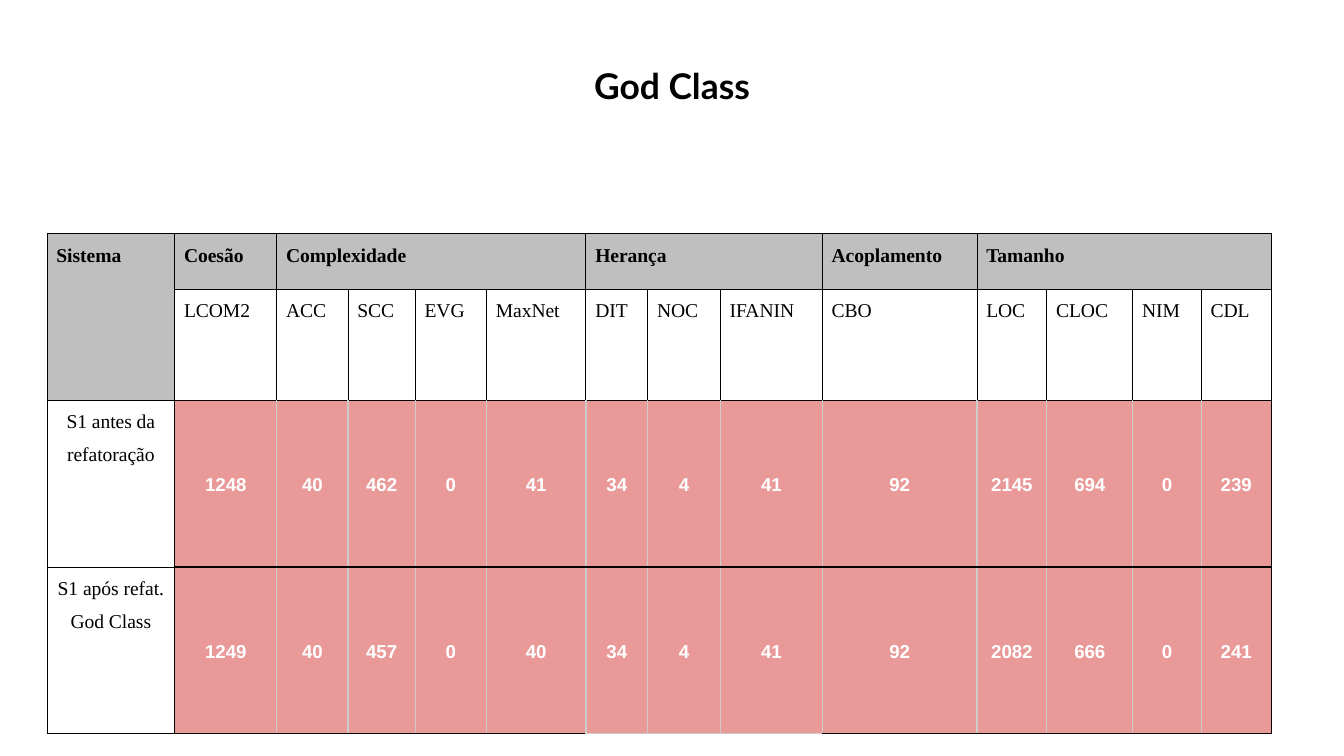
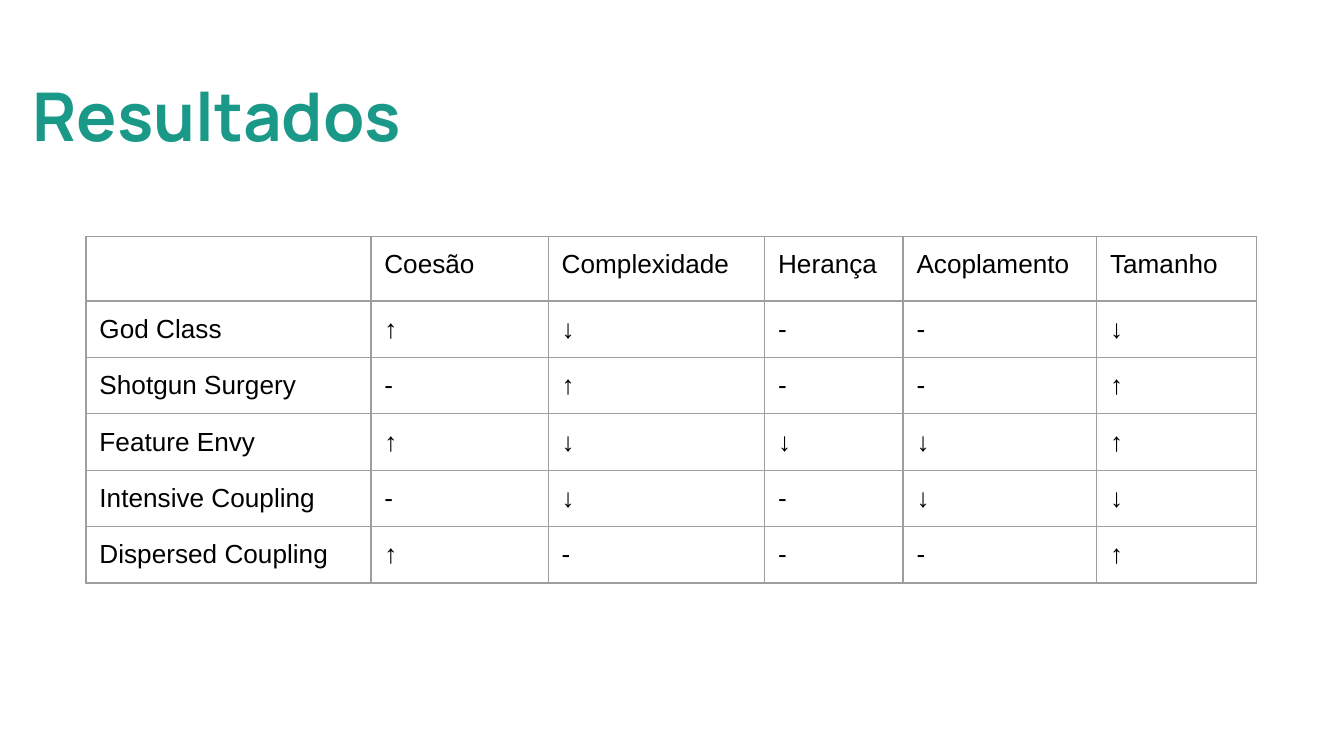
from dataclasses import dataclass

from lxml import etree
from pptx import Presentation
from pptx.dml.color import RGBColor
from pptx.enum.text import MSO_ANCHOR as Anchor, MSO_AUTO_SIZE as AutoSize, PP_ALIGN as Align
from pptx.oxml.ns import qn
from pptx.util import Inches, Pt

# Content: metrics of each system before and after refactoring
METRIC_GROUPS = [
    ("Coesão", ["LCOM2"]),
    ("Complexidade", ["ACC", "SCC", "EVG", "MaxNet"]),
    ("Herança", ["DIT", "NOC", "IFANIN"]),
    ("Acoplamento", ["CBO"]),
    ("Tamanho", ["LOC", "CLOC", "NIM", "CDL"]),
]
MEASUREMENTS = [
    ("S1 antes da refatoração", [1248, 40, 462, 0, 41, 34, 4, 41, 92, 2145, 694, 0, 239]),
    ("S1 após refat. God Class", [1249, 40, 457, 0, 40, 34, 4, 41, 92, 2082, 666, 0, 241]),
]
METRIC_COLUMNS = [0.95, 0.76, 0.53, 0.5, 0.53, 0.74, 0.46, 0.54, 0.76, 1.15, 0.52, 0.64, 0.51, 0.52]
METRIC_ROWS = [0.41, 0.83, 1.24, 1.24]

# Content: effect of each refactoring on each quality attribute
EFFECTS = [
    ("God Class", "↑↓--↓"),
    ("Shotgun Surgery", "-↑--↑"),
    ("Feature Envy", "↑↓↓↓↑"),
    ("Intensive Coupling", "-↓-↓↓"),
    ("Dispersed Coupling", "↑---↑"),
]
EFFECT_COLUMNS = [2.12, 1.32, 1.61, 1.03, 1.44, 1.19]
EFFECT_ROWS = [0.48] + [0.42] * len(EFFECTS)


@dataclass(frozen=True)
class TextStyle:
    font: str
    size: float
    color: str
    bold: bool = False
    align: Align = Align.LEFT
    spacing: float = 1.0
    after: float = 0


@dataclass(frozen=True)
class CellStyle:
    text: TextStyle
    margins: tuple
    fill: str = ""
    anchor: Anchor = Anchor.TOP


class Theme:
    black, line_gray, grid_gray = "000000", "CCCCCC", "9E9E9E"
    thin, regular = 0.5, 0.75
    class_title = TextStyle("Lato", 19, black, True, Align.CENTER)
    result_title = TextStyle("Manrope", 36, "1A9988", True, after=16)
    side_margins = (0.07, 0, 0.07, 0)
    group = CellStyle(TextStyle("Times New Roman", 10.5, black, True, Align.JUSTIFY, 1.5),
                      side_margins, "BFBFBF")
    metric = CellStyle(TextStyle("Times New Roman", 10.5, black, False, Align.JUSTIFY, 1.5),
                       side_margins)
    system = CellStyle(TextStyle("Times New Roman", 10.5, black, False, Align.CENTER, 1.5),
                       side_margins)
    value = CellStyle(TextStyle("Arial", 10, "FFFFFF", True, Align.CENTER, 1.15),
                      (0.03,) * 4, "EA9999", Anchor.MIDDLE)
    effect = CellStyle(TextStyle("Arial", 14, black), (0.1,) * 4)


# Shared helpers
def write(frame, text, style):
    frame.text = text
    para = frame.paragraphs[0]
    para.alignment = style.align
    para.line_spacing = style.spacing
    para.space_after = Pt(style.after)
    for target in [para, *para.runs]:
        font = target.font
        font.name, font.size, font.bold = style.font, Pt(style.size), style.bold
        font.color.rgb = RGBColor.from_string(style.color)


def add_titled_page(deck, title, box, style):
    page = deck.slides.add_slide(deck.slide_layouts[5])
    shape = page.shapes.title
    shape.left, shape.top, shape.width, shape.height = map(Inches, box)
    frame = shape.text_frame
    frame.word_wrap, frame.auto_size = True, AutoSize.NONE
    frame.vertical_anchor = Anchor.TOP
    frame.margin_left = frame.margin_top = frame.margin_right = frame.margin_bottom = Inches(0.1)
    write(frame, title, style)
    return page


def add_plain_table(page, left, top, columns, rows):
    frame = page.shapes.add_table(len(rows), len(columns), Inches(left), Inches(top),
                                  Inches(sum(columns)), Inches(sum(rows)))
    table = frame.table
    table.first_row = table.horz_banding = False
    for column, width in zip(table.columns, columns):
        column.width = Inches(width)
    for row, height in zip(table.rows, rows):
        row.height = Inches(height)
    return table


def all_sides(color, width):
    return {side: (color, width) for side in "LRTB"}


def fill_cell(cell, text, style, borders):
    # Borders come before the fill in the cell properties
    properties = cell._tc.get_or_add_tcPr()
    for side in "LRTB":
        color, width = borders[side]
        line = etree.SubElement(properties, qn(f"a:ln{side}"), w=str(Pt(width)))
        solid = etree.SubElement(line, qn("a:solidFill"))
        etree.SubElement(solid, qn("a:srgbClr"), val=color)
    if style.fill:
        cell.fill.solid()
        cell.fill.fore_color.rgb = RGBColor.from_string(style.fill)
    else:
        cell.fill.background()
    (cell.margin_left, cell.margin_top,
     cell.margin_right, cell.margin_bottom) = map(Inches, style.margins)
    cell.vertical_anchor = style.anchor
    write(cell.text_frame, text, style.text)


# Slide: metrics for God Class
def build_metrics(deck):
    page = add_titled_page(deck, "God Class", (0, 0.38, 10, 0.52), Theme.class_title)
    table = add_plain_table(page, 0.35, 1.74, METRIC_COLUMNS, METRIC_ROWS)
    thin = all_sides(Theme.black, Theme.thin)
    regular = (Theme.black, Theme.regular)
    gray = (Theme.line_gray, Theme.regular)

    fill_cell(table.cell(0, 0), "Sistema", Theme.group, thin)
    fill_cell(table.cell(1, 0), "", Theme.group, thin)
    table.cell(0, 0).merge(table.cell(1, 0))

    column = 1
    inherited = set()
    for group, metrics in METRIC_GROUPS:
        first = column
        for metric in metrics:
            fill_cell(table.cell(0, column), group if column == first else "", Theme.group, thin)
            fill_cell(table.cell(1, column), metric, Theme.metric, {**thin, "B": regular})
            if group == "Herança":
                inherited.add(column)
            column += 1
        if len(metrics) > 1:
            table.cell(0, first).merge(table.cell(0, column - 1))

    last_row, last_column = len(METRIC_ROWS) - 1, len(METRIC_COLUMNS) - 1
    for row, (system, values) in enumerate(MEASUREMENTS, start=2):
        fill_cell(table.cell(row, 0), system, Theme.system, {**thin, "R": regular})
        for column, value in enumerate(values, start=1):
            borders = {
                "L": regular if column == 1 else gray,
                "R": regular if column == last_column else gray,
                "T": regular,
                "B": gray if row == last_row and column in inherited else regular,
            }
            fill_cell(table.cell(row, column), str(value), Theme.value, borders)


# Slide: summary of results
def build_results(deck):
    page = add_titled_page(deck, "Resultados", (0.14, 0.45, 5.68, 0.84), Theme.result_title)
    table = add_plain_table(page, 0.64, 1.76, EFFECT_COLUMNS, EFFECT_ROWS)
    grid = all_sides(Theme.grid_gray, Theme.regular)
    header = ["", *(group for group, _ in METRIC_GROUPS)]
    lines = [header, *([smell, *effects] for smell, effects in EFFECTS)]
    for row, texts in enumerate(lines):
        for column, text in enumerate(texts):
            fill_cell(table.cell(row, column), text, Theme.effect, grid)


def main():
    deck = Presentation()
    # Widescreen, 16:9
    deck.slide_width = Inches(10)
    deck.slide_height = deck.slide_width * 9 // 16
    build_metrics(deck)
    build_results(deck)
    deck.save("out.pptx")


if __name__ == "__main__":
    main()
